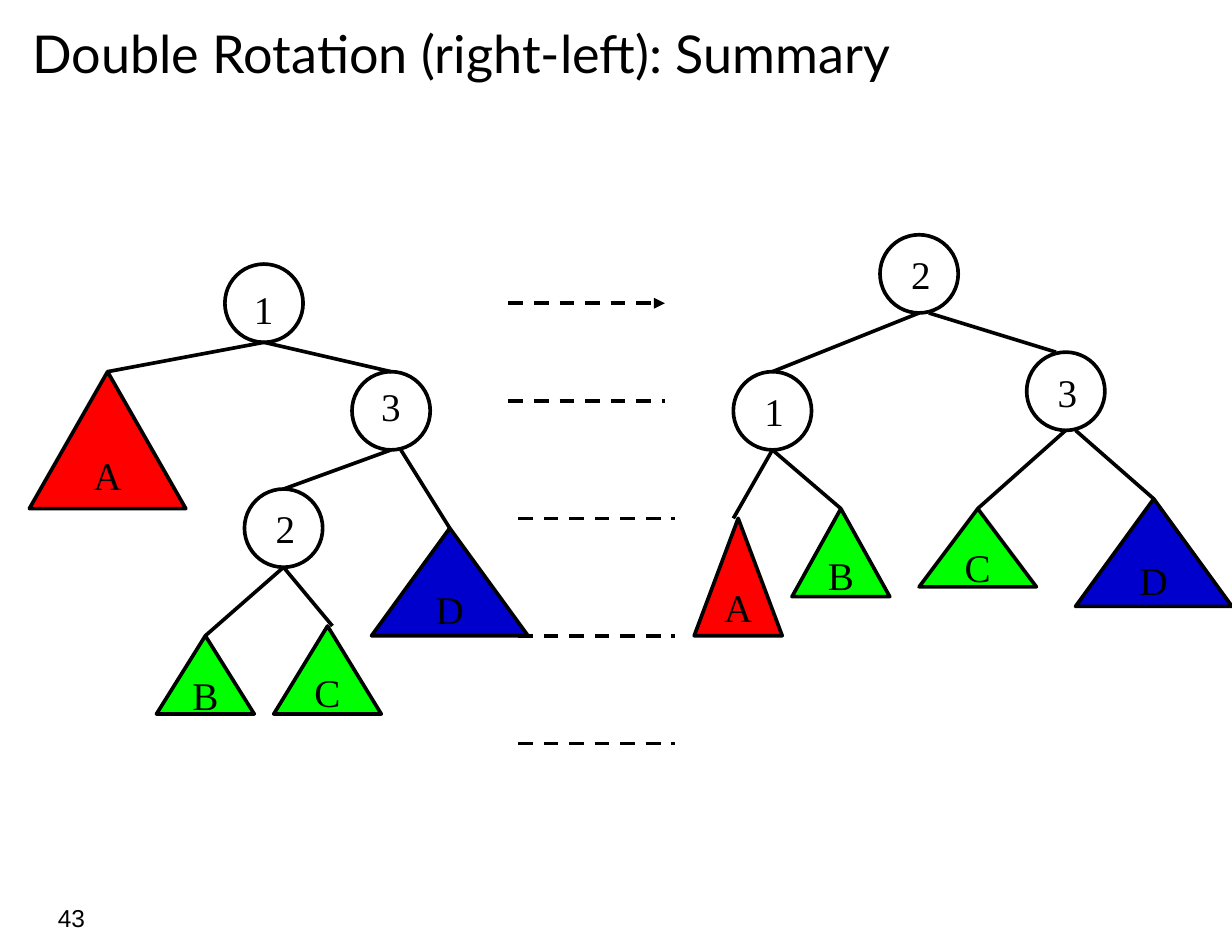
from dataclasses import dataclass

from pptx import Presentation
from pptx.dml.color import RGBColor
from pptx.enum.dml import MSO_LINE
from pptx.enum.shapes import MSO_CONNECTOR, MSO_SHAPE
from pptx.enum.text import MSO_ANCHOR, MSO_AUTO_SIZE, PP_ALIGN
from pptx.oxml.ns import qn
from pptx.shapes.autoshape import Shape
from pptx.shapes.connector import Connector
from pptx.slide import Slide
from pptx.text.text import TextFrame
from pptx.util import Cm, Pt
from lxml import etree

DASH = MSO_LINE.DASH
STRAIGHT = MSO_CONNECTOR.STRAIGHT
ELLIPSE, TRIANGLE = MSO_SHAPE.OVAL, MSO_SHAPE.ISOSCELES_TRIANGLE
LEFT, CENTER, RIGHT = PP_ALIGN.LEFT, PP_ALIGN.CENTER, PP_ALIGN.RIGHT
TOP, MIDDLE = MSO_ANCHOR.TOP, MSO_ANCHOR.MIDDLE
NO_FIT, GROW = MSO_AUTO_SIZE.NONE, MSO_AUTO_SIZE.SHAPE_TO_FIT_TEXT

BLACK, RED, GREEN, BLUE = "000000", "FF0000", "00FF00", "0000CC"
SERIF = "Times New Roman"
DIAMETER = 8
DASH_LENGTH = 16


@dataclass
class Node:
    label: str
    x: float
    y: float
    label_dx: float = 2
    label_dy: float = 1


@dataclass
class Subtree:
    label: str
    x: float
    y: float
    width: float
    height: float
    fill: str


@dataclass
class Edge:
    """Shifts move an end sideways from the bottom or top centre."""
    parent: str
    child: str
    start_shift: float = 0
    end_shift: float = 0


@dataclass
class Tree:
    nodes: list[Node]
    subtrees: list[Subtree]
    edges: list[Edge]


BEFORE = Tree(
    [Node("1", 23, 27, 1.8, 1.6), Node("3", 36, 38, 1.8, 0.5), Node("2", 25, 50)],
    [Subtree("A", 3, 38, 16, 14, RED), Subtree("D", 38, 54, 16, 11, BLUE),
     Subtree("C", 28, 64, 11, 9, GREEN), Subtree("B", 16, 65, 10, 8, GREEN)],
    [Edge("1", "A"), Edge("1", "3"), Edge("3", "2"), Edge("3", "D", 1),
     Edge("2", "B"), Edge("2", "C", 0, 0.5)],
)
AFTER = Tree(
    [Node("2", 90, 24), Node("3", 105, 36), Node("1", 75, 38)],
    [Subtree("A", 71, 53, 9, 12, RED), Subtree("B", 81, 52, 10, 9, GREEN),
     Subtree("C", 94, 52, 12, 8, GREEN), Subtree("D", 110, 51, 16, 11, BLUE)],
    [Edge("2", "1"), Edge("2", "3", 1, -1), Edge("3", "C"), Edge("3", "D", 1),
     Edge("1", "A", 0, -0.5), Edge("1", "B")],
)
DASHES = [(52, 31), (52, 41), (53, 53), (53, 65), (53, 76)]


def grid(steps: float) -> Cm:
    """Length of a number of grid steps, twelve to the inch."""
    return Cm(steps * 2.54 / 12)


def rgb(color: str) -> RGBColor:
    return RGBColor.from_string(color)


def write(tf: TextFrame, text: str, size: float, font: str, align: PP_ALIGN,
          anchor: MSO_ANCHOR, wrap: bool, inset: float = 0.25) -> None:
    tf.text = text
    tf.word_wrap = wrap
    tf.vertical_anchor = anchor
    tf.margin_left = tf.margin_right = Cm(inset)
    tf.margin_top = tf.margin_bottom = Cm(0.13)
    p = tf.paragraphs[0]
    p.alignment = align
    r = p.runs[0]
    r.font.size = Pt(size)
    r.font.name = font
    r.font.color.rgb = rgb(BLACK)


def outline(sp: Shape | Connector) -> None:
    sp.line.color.rgb = rgb(BLACK)
    sp.line.width = Pt(2.25)


def add_line(s: Slide, x1: float, y1: float, x2: float, y2: float) -> Connector:
    line = s.shapes.add_connector(STRAIGHT, grid(x1), grid(y1), grid(x2), grid(y2))
    outline(line)
    etree.SubElement(line._element.spPr, qn("a:effectLst"))
    return line


def add_node(s: Slide, node: Node) -> Shape:
    sp = s.shapes.add_shape(ELLIPSE, grid(node.x), grid(node.y),
                            grid(DIAMETER), grid(DIAMETER))
    sp.shadow.inherit = False
    sp.fill.background()
    outline(sp)
    box = s.shapes.add_textbox(grid(node.x + node.label_dx),
                               grid(node.y + node.label_dy), Cm(0.91), Cm(1.27))
    write(box.text_frame, node.label, 24, SERIF, LEFT, TOP, False)
    box.text_frame.auto_size = GROW
    return sp


def add_subtree(s: Slide, tree: Subtree) -> Shape:
    sp = s.shapes.add_shape(TRIANGLE, grid(tree.x), grid(tree.y),
                            grid(tree.width), grid(tree.height))
    sp.shadow.inherit = False
    sp.fill.solid()
    sp.fill.fore_color.rgb = rgb(tree.fill)
    outline(sp)
    write(sp.text_frame, tree.label, 24, SERIF, CENTER, MIDDLE, False)
    return sp


def add_tree(s: Slide, tree: Tree) -> None:
    shapes = {n.label: add_node(s, n) for n in tree.nodes}
    shapes |= {t.label: add_subtree(s, t) for t in tree.subtrees}
    nodes = {n.label: n for n in tree.nodes}
    tops = {n.label: (n.x + DIAMETER / 2, n.y) for n in tree.nodes}
    tops |= {t.label: (t.x + t.width / 2, t.y) for t in tree.subtrees}
    for edge in tree.edges:
        parent = nodes[edge.parent]
        x, y = tops[edge.child]
        line = add_line(s, parent.x + DIAMETER / 2 + edge.start_shift,
                        parent.y + DIAMETER, x + edge.end_shift, y)
        if not edge.end_shift:
            line.end_connect(shapes[edge.child], 0)


def add_dashes(s: Slide) -> None:
    for i, (x, y) in enumerate(DASHES):
        line = add_line(s, x, y, x + DASH_LENGTH, y)
        line.line.dash_style = DASH
        if i == 0:
            ln = line.line._get_or_add_ln()
            etree.SubElement(ln, qn("a:tailEnd"), type="triangle")


def main() -> None:
    prs = Presentation()
    prs.slide_width, prs.slide_height = Cm(26.67), Cm(20.32)
    s = prs.slides.add_slide(prs.slide_layouts[5])

    title = s.shapes.title
    title.left, title.top = Cm(0.42), Cm(0)
    title.width, title.height = Cm(25.65), Cm(2.26)
    write(title.text_frame, "Double Rotation (right-left): Summary",
          32, "Lato", LEFT, MIDDLE, True, 0.28)
    title.text_frame.auto_size = NO_FIT

    number = s.shapes.add_textbox(Cm(0), Cm(19.41), Cm(2.12), Cm(0.91))
    write(number.text_frame, "43", 15, "Arial", RIGHT, TOP, True, 0.28)

    add_dashes(s)
    add_tree(s, BEFORE)
    add_tree(s, AFTER)
    prs.save("out.pptx")


if __name__ == "__main__":
    main()
